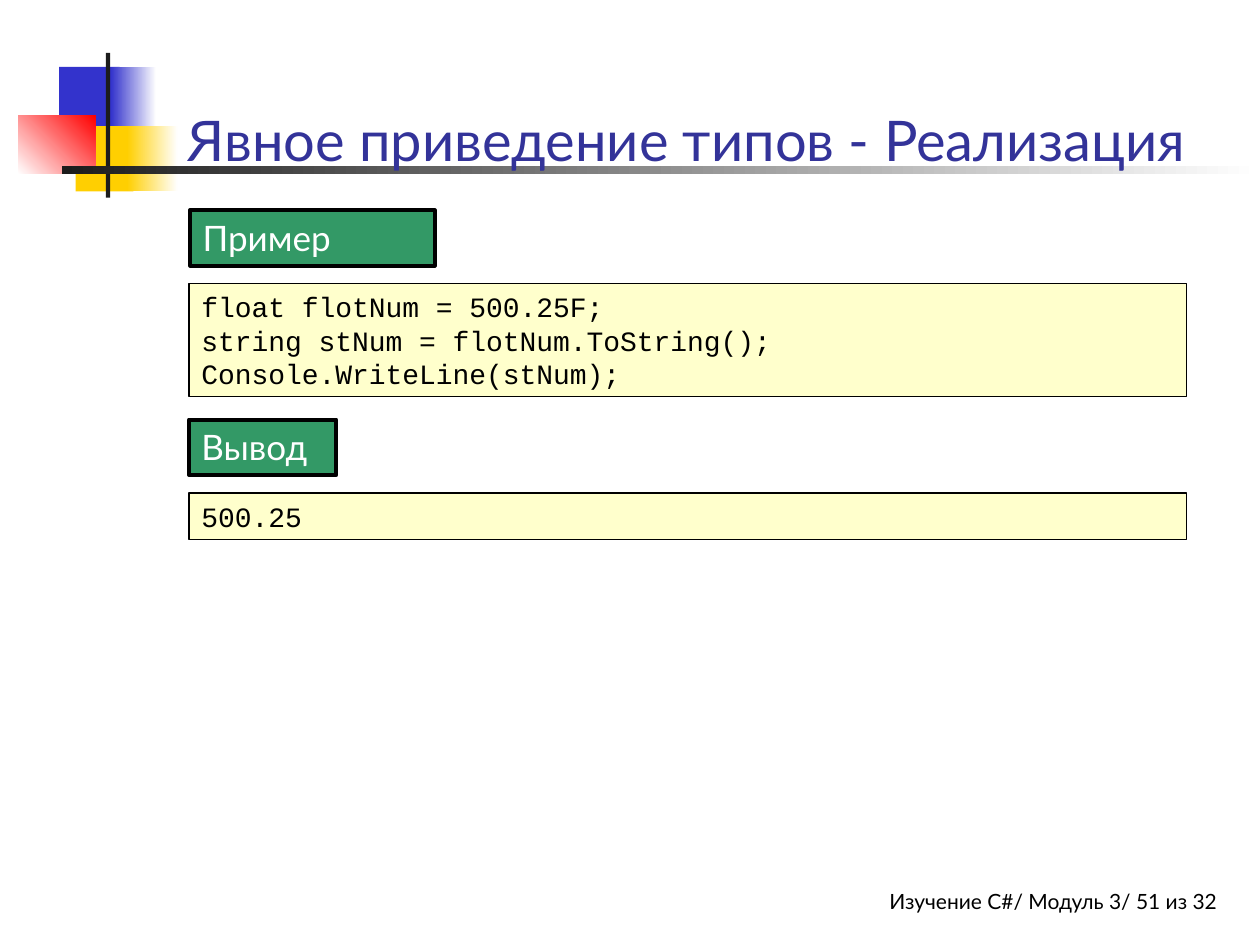
from pptx import Presentation
from pptx.dml.color import RGBColor
from pptx.enum.shapes import MSO_SHAPE as Kind
from pptx.enum.text import MSO_ANCHOR as Anchor, PP_ALIGN as Align
from pptx.util import Pt

WHITE = RGBColor(0xFF, 0xFF, 0xFF)
BLACK = RGBColor(0x00, 0x00, 0x00)
INK = RGBColor(0x1C, 0x1C, 0x1C)
BLUE = RGBColor(0x33, 0x33, 0xCC)
NAVY = RGBColor(0x33, 0x33, 0x99)
GOLD = RGBColor(0xFF, 0xCF, 0x01)
RED = RGBColor(0xFF, 0x00, 0x00)
GREEN = RGBColor(0x33, 0x99, 0x66)
CREAM = RGBColor(0xFF, 0xFF, 0xCC)

SANS, MONO = "Lato", "Courier New"

TITLE = "Явное приведение типов - Реализация"
FOOTER = "Изучение C#/ Модуль 3/ 51 из 32"

# label, label left, label width, code lines, code height
BLOCKS = [
    ("Пример", 108.7, 139.7,
     ["float flotNum = 500.25F;",
      "string stNum = flotNum.ToString();",
      "Console.WriteLine(stNum);"], 64.8),
    ("Вывод", 108, 84.2, ["500.25"], 26.6),
]

# left, top, width, height, colours from first to last, gradient angle
ORNAMENT = [
    (33.8, 38.2, 34.6, 37.4, [BLUE], 0),
    (63.4, 38.2, 25.9, 37.4, [BLUE, WHITE], 0),
    (43.2, 72, 33.1, 37.4, [GOLD], 0),
    (72.7, 72, 28.8, 37.4, [GOLD, WHITE], 0),
    (10.4, 66, 44.2, 33.3, [WHITE, RED], 45),
    (60.5, 30.2, 2.4, 82.8, [INK], 0),
    (35.3, 95, 684.7, 4.3, [INK, WHITE], 0),
]

LEFT, TOP, WIDTH = 108, 120.1, 570.2
LABEL_H, LABEL_GAP, BLOCK_GAP = 31.7, 10.2, 13

deck = Presentation()
deck.slide_width, deck.slide_height = Pt(720), Pt(540)
slide = deck.slides.add_slide(deck.slide_layouts[6])


def box(left, top, width, height, colors, angle=0, line=None):
    """Rectangle with a solid fill, or a gradient for two colours."""
    shape = slide.shapes.add_shape(
        Kind.RECTANGLE, Pt(left), Pt(top), Pt(width), Pt(height))
    shape.shadow.inherit = False
    fill = shape.fill
    if len(colors) == 1:
        fill.solid()
        fill.fore_color.rgb = colors[0]
    else:
        fill.gradient()
        fill.gradient_angle = angle
        for stop, color in zip(fill.gradient_stops, colors):
            stop.color.rgb = color
    if line:
        shape.line.color.rgb = BLACK
        shape.line.width = Pt(line)
    else:
        shape.line.fill.background()
    return shape


def write(shape, lines, size, color, font=SANS, align=Align.LEFT,
          anchor=Anchor.TOP, right=7.2):
    frame = shape.text_frame
    frame.word_wrap = True
    frame.vertical_anchor = anchor
    frame.margin_left, frame.margin_right = Pt(7.2), Pt(right)
    frame.margin_top = frame.margin_bottom = Pt(3.6)
    frame.text = "\n".join(lines)
    for para in frame.paragraphs:
        para.alignment = align
        para.font.size = Pt(size)
        para.font.name = font
        para.font.color.rgb = color


def text(left, top, width, height, words, size, color, **style):
    shape = slide.shapes.add_textbox(
        Pt(left), Pt(top), Pt(width), Pt(height))
    write(shape, [words], size, color, **style)


text(329.8, 504, 365.8, 23.8, FOOTER, 12, BLACK, align=Align.RIGHT, right=0)
for left, top, width, height, colors, angle in ORNAMENT:
    box(left, top, width, height, colors, angle)
text(100.1, 12.2, 613.4, 90, TITLE, 32, NAVY, anchor=Anchor.BOTTOM)

top = TOP
for label, left, width, code, height in BLOCKS:
    tag = box(left, top, width, LABEL_H, [GREEN], line=2.25)
    write(tag, [label], 20, WHITE)
    top += LABEL_H + LABEL_GAP
    panel = box(LEFT, top, WIDTH, height, [CREAM], line=0.75)
    write(panel, code, 16, BLACK, font=MONO)
    top += height + BLOCK_GAP

deck.save("out.pptx")
